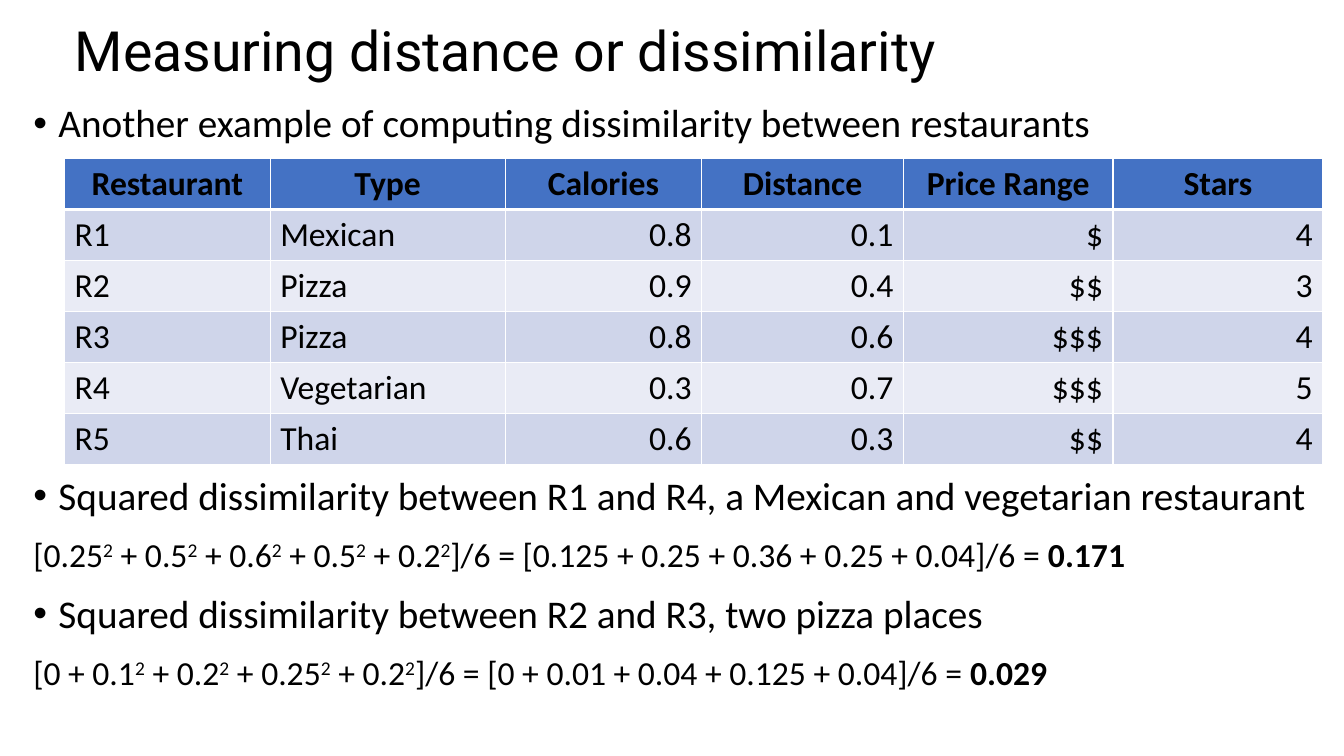
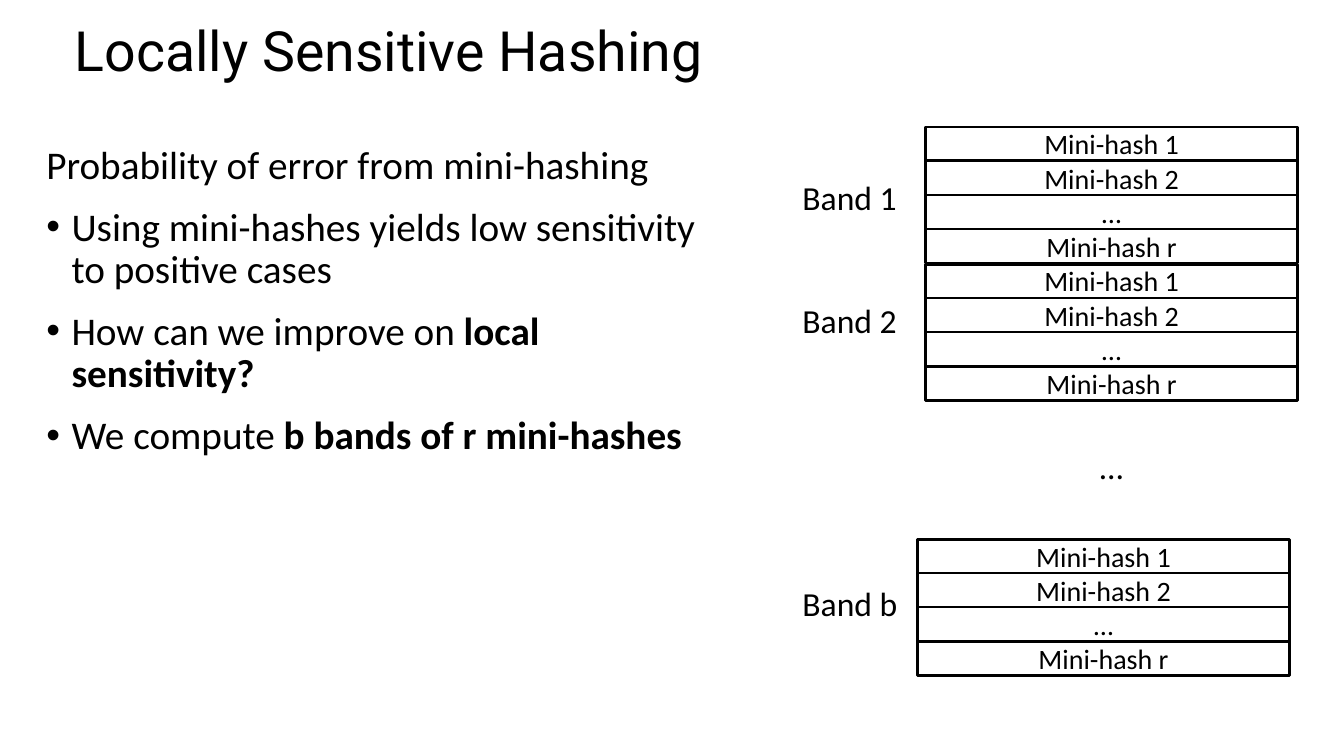
import typing
from dataclasses import dataclass

import pptx
import pptx.dml.color
import pptx.enum.shapes
import pptx.enum.text
import pptx.oxml
import pptx.oxml.ns
import pptx.util

Inches = pptx.util.Inches
Pt = pptx.util.Pt
RGBColor = pptx.dml.color.RGBColor
Align = pptx.enum.text.PP_ALIGN
Anchor = pptx.enum.text.MSO_ANCHOR
Fit = pptx.enum.text.MSO_AUTO_SIZE

# Shared colours, fonts and formats
BLACK = RGBColor(0x00, 0x00, 0x00)
WHITE = RGBColor(0xFF, 0xFF, 0xFF)
BLUE = RGBColor(0x44, 0x72, 0xC4)
DARK = RGBColor(0xCF, 0xD5, 0xEA)
LIGHT = RGBColor(0xE9, 0xEB, 0xF5)
TITLE_FONT = "Roboto"
FONT = "Calibri"
TITLE_BOX = (0.64, 0.24, 11.5, 0.58)
FRAME = {"word_wrap": True, "auto_size": Fit.NONE}
INDENT = 0.25

Box = tuple[float, float, float, float]


@dataclass
class Run:
    text: str
    bold: bool = False
    base: int = 0


@dataclass
class Para:
    runs: list[Run]
    bullet: bool = True
    size: float = 28
    before: float = 14


@dataclass
class Band:
    name: str
    left: float
    top: float
    label: float


# Helpers
def dress(item: typing.Any, values: dict[str, typing.Any]) -> None:
    for name, value in values.items():
        setattr(item, name, value)


def place(shape: typing.Any, box: Box) -> None:
    sides = ("left", "top", "width", "height")
    dress(shape, dict(zip(sides, map(Inches, box))))


def write(para: typing.Any, run: Run, size: float, face: str = FONT) -> None:
    piece = para.add_run()
    piece.text = run.text
    dress(piece.font, {"size": Pt(size), "name": face, "bold": run.bold})
    piece.font.color.rgb = BLACK
    if run.base:
        piece._r.get_or_add_rPr().set("baseline", str(run.base * 1000))


def mark(para: typing.Any, bullet: bool) -> None:
    props = para._p.get_or_add_pPr()
    step = Inches(INDENT) if bullet else 0
    props.set("marL", str(step))
    props.set("indent", str(-step))
    tag = 'buChar char="\u2022"' if bullet else "buNone"
    props.append(pptx.oxml.parse_xml(f"<a:{tag} {pptx.oxml.ns.nsdecls('a')}/>"))


def raise_runs(text: str, answer: str) -> list[Run]:
    """Text between carets is superscript; the answer is bold."""
    parts = enumerate(text.split("^"))
    return [Run(part, base=30 * (i % 2)) for i, part in parts] + [Run(answer, True)]


def add_slide(deck: typing.Any, title: str, box: Box, paras: list[Para]) -> typing.Any:
    slide = deck.slides.add_slide(deck.slide_layouts[1])
    head, body = slide.placeholders
    place(head, TITLE_BOX)
    dress(head.text_frame, FRAME | {"vertical_anchor": Anchor.MIDDLE})
    line = head.text_frame.paragraphs[0]
    dress(line, {"alignment": Align.LEFT, "line_spacing": 0.9})
    write(line, Run(title), 39.6, TITLE_FONT)

    place(body, box)
    dress(body.text_frame, FRAME)
    for i, item in enumerate(paras):
        line = body.text_frame.add_paragraph() if i else body.text_frame.paragraphs[0]
        dress(line, {"line_spacing": 0.9, "space_before": Pt(item.before)})
        mark(line, item.bullet)
        for run in item.runs:
            write(line, run, item.size)
    return slide


def add_label(slide: typing.Any, text: str, box: Box, form: dict, frame: dict) -> None:
    label = slide.shapes.add_textbox(*map(Inches, box))
    dress(label.text_frame, FRAME | frame)
    line = label.text_frame.paragraphs[0]
    dress(line, form)
    write(line, Run(text), 24)


def add_rect(slide: typing.Any, box: Box, width: float, text: str = "") -> None:
    rect = slide.shapes.add_shape(
        pptx.enum.shapes.MSO_SHAPE.RECTANGLE, *map(Inches, box))
    rect.shadow.inherit = False
    rect.fill.background()
    rect.line.color.rgb = BLACK
    rect.line.width = Pt(width)
    if text:
        dress(rect.text_frame, FRAME | {"vertical_anchor": Anchor.MIDDLE})
        line = rect.text_frame.paragraphs[0]
        line.alignment = Align.CENTER
        write(line, Run(text), 20)


def add_edge(cell: typing.Any, side: str, width: float) -> None:
    cell._tc.get_or_add_tcPr().append(pptx.oxml.parse_xml(
        f'<a:ln{side} {pptx.oxml.ns.nsdecls("a")} w="{Pt(width)}">'
        f'<a:solidFill><a:srgbClr val="{WHITE}"/></a:solidFill></a:ln{side}>'))


def add_grid(slide: typing.Any, box: Box, widths: list[float], rows: list[list[str]]) -> None:
    grid = slide.shapes.add_table(len(rows), len(widths), *map(Inches, box)).table
    for col, width in zip(grid.columns, widths):
        col.width = Inches(width)
    for r, row in enumerate(rows):
        for c, text in enumerate(row):
            cell = grid.cell(r, c)
            thick = {"L": 1, "R": 1, "T": 3 if r == 1 else 1, "B": 1 if r else 3}
            for side, width in thick.items():
                add_edge(cell, side, width)
            cell.fill.solid()
            cell.fill.fore_color.rgb = (DARK if r % 2 else LIGHT) if r else BLUE
            line = cell.text_frame.paragraphs[0]
            side = Align.LEFT if c < 2 else Align.RIGHT
            line.alignment = side if r else Align.CENTER
            write(line, Run(text, bold=r == 0), 24)


deck = pptx.Presentation()
dress(deck, {"slide_width": Inches(13.33), "slide_height": Inches(7.5)})

# Slide 1: dissimilarity between restaurants
FOODS = [
    ["Restaurant", "Type", "Calories", "Distance", "Price Range", "Stars"],
    ["R1", "Mexican", "0.8", "0.1", "$", "4"],
    ["R2", "Pizza", "0.9", "0.4", "$$", "3"],
    ["R3", "Pizza", "0.8", "0.6", "$$$", "4"],
    ["R4", "Vegetarian", "0.3", "0.7", "$$$", "5"],
    ["R5", "Thai", "0.6", "0.3", "$$", "4"],
]
TABLE_GAP = 236
FIRST = raise_runs(
    "[0.25^2^ + 0.5^2^ + 0.6^2^ + 0.5^2^ + 0.2^2^]/6 = "
    "[0.125 + 0.25 + 0.36 + 0.25 + 0.04]/6 = ", "0.171")
SECOND = raise_runs(
    "[0 + 0.1^2^ + 0.2^2^ + 0.25^2^ + 0.2^2^]/6 = "
    "[0 + 0.01 + 0.04 + 0.125 + 0.04]/6 = ", "0.029")
slide = add_slide(deck, "Measuring distance or dissimilarity", (0.23, 0.98, 13.1, 6.23), [
    Para([Run("Another example of computing dissimilarity between restaurants")]),
    Para([Run("Squared dissimilarity between R1 and R4, "
              "a Mexican and vegetarian restaurant")], before=TABLE_GAP),
    Para(FIRST, bullet=False, size=24),
    Para([Run("Squared dissimilarity between R2 and R3, two pizza places")]),
    Para(SECOND, bullet=False, size=24),
])
add_grid(slide, (0.64, 1.57, 12.47, 3), [2.04, 2.33, 1.95, 2, 2.08, 2.08], FOODS)

# Slide 2: bands of mini-hashes
slide = add_slide(deck, "Locally Sensitive Hashing", (0.36, 1.39, 6.92, 6), [
    Para([Run("Probability of error from mini-hashing")], bullet=False),
    Para([Run("Using mini-hashes yields low sensitivity to positive cases")]),
    Para([Run("How can we improve on "), Run("local sensitivity?", True)]),
    Para([Run("We compute "), Run("b bands of r mini-hashes", True)]),
])
HASHES = ["Mini-hash 1", "Mini-hash 2", "\u2026", "Mini-hash r"]
BANDS = [
    Band("Band 1", 9.18, 1.26, 1.71),
    Band("Band 2", 9.18, 2.62, 2.93),
    Band("Band b", 9.1, 5.35, 5.73),
]
WIDE, TALL, STEP = 3.69, 1.35, 0.34
for band in BANDS:
    add_rect(slide, (band.left, band.top, WIDE, TALL), 2)
    for i, text in enumerate(HASHES):
        add_rect(slide, (band.left, band.top + i * STEP, WIDE, 0.33), 1, text)
    add_label(slide, band.name, (7.86, band.label, 1.32, 0.5), {},
              {"auto_size": Fit.SHAPE_TO_FIT_TEXT})
add_label(slide, "\u2026", (9.18, 3.95, WIDE, TALL),
          {"alignment": Align.CENTER}, {"vertical_anchor": Anchor.MIDDLE})

deck.save("out.pptx")
